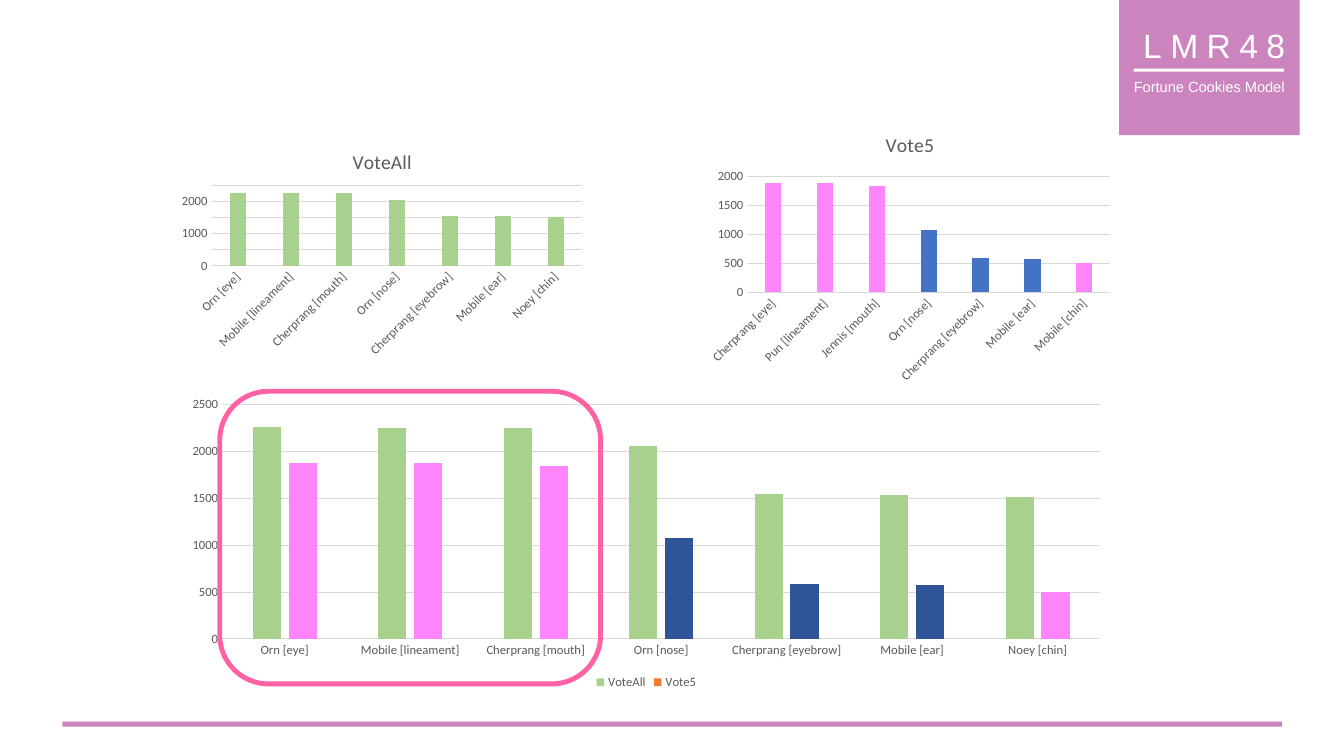
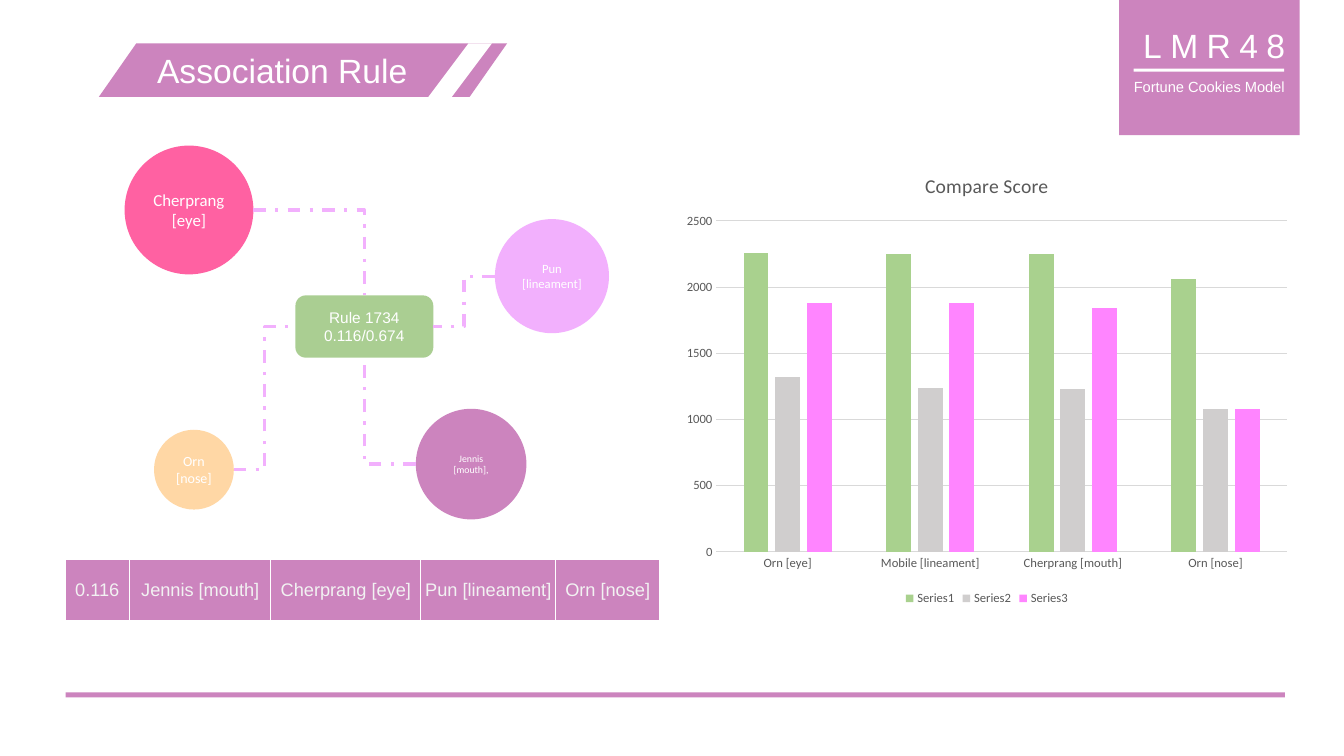
from dataclasses import dataclass
from typing import NamedTuple

from lxml.etree import SubElement
from pptx import Presentation
from pptx.chart.data import CategoryChartData
from pptx.dml.color import RGBColor
from pptx.enum.chart import XL_CHART_TYPE as ChartType, XL_LEGEND_POSITION as LegendPos, XL_TICK_MARK as TickMark
from pptx.enum.dml import MSO_LINE_DASH_STYLE as Dash
from pptx.enum.shapes import MSO_CONNECTOR as Connector, MSO_SHAPE as Shape
from pptx.enum.text import MSO_ANCHOR as Anchor, MSO_AUTO_SIZE as AutoSize, PP_ALIGN as Align
from pptx.oxml.ns import qn
from pptx.util import Pt


@dataclass(frozen=True)
class Theme:
    orchid: str = "CC84BE"
    white: str = "FFFFFF"
    cell_text: str = "F2F2F2"
    hot_pink: str = "FF61A2"
    lilac: str = "F2B0FD"
    apricot: str = "FFCD8C"
    leaf: str = "70AD47"
    green: str = "A9D18E"
    pink: str = "FF85FF"
    navy: str = "2F5597"
    blue: str = "4472C4"
    orange: str = "ED7D31"
    silver: str = "D0CECE"
    axis_text: str = "595959"
    grid: str = "D9D9D9"
    sans: str = "Arial"
    body: str = "Calibri"
    title_size: float = 24
    chart_title_size: float = 14
    table_size: float = 13
    rule_size: float = 11
    tagline_size: float = 10.5
    axis_size: float = 9


THEME = Theme()


class Box(NamedTuple):
    left: float
    top: float
    width: float
    height: float

    def inner(self, left, top, width, height):
        return Box(self.left + left, self.top + top, width, height)

    def lengths(self):
        return [Pt(value) for value in self]


class Series(NamedTuple):
    name: str
    values: tuple
    color: str
    point_colors: dict = {}


FEATURES = ("Orn [eye]", "Mobile [lineament]", "Cherprang [mouth]", "Orn [nose]",
            "Cherprang [eyebrow]", "Mobile [ear]", "Noey [chin]")
TOP_FIVE_FEATURES = ("Cherprang [eye]", "Pun [lineament]", "Jennis [mouth]", "Orn [nose]",
                     "Cherprang [eyebrow]", "Mobile [ear]", "Mobile [chin]")
ALL_VOTES = (2260, 2250, 2250, 2060, 1550, 1540, 1510)
TOP_FIVE_VOTES = (1880, 1880, 1840, 1080, 590, 580, 500)
MIDDLE_VOTES = (1320, 1240, 1230, 1080)


def rgb(color):
    return RGBColor.from_string(color)


def style_font(font, size, color, name):
    font.size = Pt(size)
    font.name = name
    font.bold = False
    font.color.rgb = rgb(color)


def write(frame, text, size, color=THEME.white, font=THEME.sans, spacing=0,
          anchor=Anchor.MIDDLE, wrap=True):
    frame.text = text
    frame.word_wrap = wrap
    frame.auto_size = AutoSize.NONE
    frame.vertical_anchor = anchor
    for paragraph in frame.paragraphs:
        paragraph.alignment = Align.CENTER
        for run in paragraph.runs:
            style_font(run.font, size, color, font)
            if spacing:
                run.font._element.set("spc", str(spacing * 100))


def add_block(slide, kind, box, color, opacity=100, adjustment=None):
    block = slide.shapes.add_shape(kind, *box.lengths())
    block.shadow.inherit = False
    block.line.fill.background()
    block.fill.solid()
    block.fill.fore_color.rgb = rgb(color)
    if opacity < 100:
        fill_color = block._element.spPr.find(qn("a:solidFill")).find(qn("a:srgbClr"))
        SubElement(fill_color, qn("a:alpha"), val=str(opacity * 1000))
    if adjustment is not None:
        block.adjustments[0] = adjustment
    return block


def add_label(slide, box, text, **text_format):
    label = slide.shapes.add_textbox(*box.lengths())
    write(label.text_frame, text, **text_format)


def add_badge(slide, box):
    add_block(slide, Shape.RECTANGLE, box, THEME.orchid)
    add_label(slide, box.inner(3, 14, 130, 36), "LMR48", size=THEME.title_size, spacing=6)
    add_block(slide, Shape.RECTANGLE, box.inner(10.5, 49, 107.5, 2.2), THEME.white)
    add_label(slide, box.inner(-31.5, 52, 192, 20), "Fortune Cookies Model", size=THEME.tagline_size)


def add_frame(slide, footer_left, footer_top):
    add_badge(slide, Box(799.3, 0, 129, 96.5))
    add_block(slide, Shape.RECTANGLE, Box(footer_left, footer_top, 871, 3.6), THEME.orchid)


def style_axes(chart, label_angle):
    for axis in (chart.category_axis, chart.value_axis):
        axis.major_tick_mark = axis.minor_tick_mark = TickMark.NONE
        style_font(axis.tick_labels.font, THEME.axis_size, THEME.axis_text, THEME.body)
    category_line = chart.category_axis.format.line
    category_line.color.rgb = rgb(THEME.grid)
    category_line.width = Pt(0.75)
    chart.category_axis._element.txPr.bodyPr.set("rot", str(label_angle * 60000))
    chart.value_axis.format.line.fill.background()
    grid_line = chart.value_axis.major_gridlines.format.line
    grid_line.color.rgb = rgb(THEME.grid)
    grid_line.width = Pt(0.75)


def add_columns(slide, box, categories, series_list, title=None, legend=False, label_angle=0):
    data = CategoryChartData()
    data.categories = categories
    for series in series_list:
        data.add_series(series.name, series.values)
    chart = slide.shapes.add_chart(ChartType.COLUMN_CLUSTERED, *box.lengths(), data).chart
    style_font(chart.font, THEME.axis_size, THEME.axis_text, THEME.body)
    chart.has_title = title is not None
    if title:
        write(chart.chart_title.text_frame, title, THEME.chart_title_size,
              color=THEME.axis_text, font=THEME.body)
        chart.chart_title.include_in_layout = False
    chart.has_legend = legend
    if legend:
        chart.legend.position = LegendPos.BOTTOM
        chart.legend.include_in_layout = False
        style_font(chart.legend.font, THEME.axis_size, THEME.axis_text, THEME.body)
    style_axes(chart, label_angle)
    plot = chart.plots[0]
    plot.gap_width = 219
    plot.overlap = -27
    plot.vary_by_categories = False
    for columns, series in zip(plot.series, series_list):
        columns.invert_if_negative = False
        columns.format.fill.solid()
        columns.format.fill.fore_color.rgb = rgb(series.color)
        for index, color in series.point_colors.items():
            fill = columns.points[index].format.fill
            fill.solid()
            fill.fore_color.rgb = rgb(color)


def add_banner(slide, box, text):
    add_block(slide, Shape.PARALLELOGRAM, box, THEME.orchid, adjustment=0.7)
    add_block(slide, Shape.PARALLELOGRAM, box.inner(235.4, 0, 45.4, box.height),
              THEME.white, adjustment=0.75)
    title = slide.shapes.title
    title.left, title.top, title.width, title.height = box.inner(21, 0.7, 220, 36).lengths()
    write(title.text_frame, text, THEME.title_size)
    slide.shapes._spTree.append(title._element)


def add_link(slide, start, end, single_bend=False):
    link = slide.shapes.add_connector(Connector.ELBOW, *start, *end)
    link.line.color.rgb = rgb(THEME.lilac)
    link.line.width = Pt(2.25)
    link.line.dash_style = Dash.DASH_DOT
    properties = link._element.spPr
    SubElement(properties, qn("a:effectLst"))
    if single_bend:
        properties.find(qn("a:prstGeom")).set("prst", "bentConnector2")


def edge(shape, across, down):
    return int(shape.left + shape.width * across), int(shape.top + shape.height * down)


def add_rule_network(slide, box):
    rule = add_block(slide, Shape.ROUNDED_RECTANGLE, box.inner(122, 107, 98.5, 44.5),
                     THEME.leaf, opacity=59)
    write(rule.text_frame, "Rule 1734\n0.116/0.674", THEME.rule_size)
    members = (
        ("Cherprang\n[eye]", 0, 0, 92, THEME.hot_pink, 100, 12, (1, 0.5), (0.5, 0)),
        ("Pun\n[lineament]", 264.5, 52.5, 81.5, THEME.lilac, 100, 9, (0, 0.5), (1, 0.5)),
        ("Jennis\n[mouth],", 208, 188, 79, THEME.orchid, 100, 7, (0, 0.5), (0.5, 1)),
        ("Orn\n[nose]", 21, 203, 57, THEME.apricot, 78, 10, (1, 0.5), (0, 0.5)),
    )
    for text, left, top, diameter, color, opacity, size, member_side, rule_side in members:
        member = add_block(slide, Shape.OVAL, box.inner(left, top, diameter, diameter), color, opacity)
        write(member.text_frame, text, size, font=THEME.body, wrap=False)
        add_link(slide, edge(member, *member_side), edge(rule, *rule_side),
                 single_bend=rule_side[0] == 0.5)


def add_border(cell):
    properties = cell._tc.get_or_add_tcPr()
    for index, side in enumerate(("lnL", "lnR", "lnT", "lnB")):
        line = SubElement(properties, qn(f"a:{side}"), w=str(Pt(1)))
        fill = SubElement(line, qn("a:solidFill"))
        SubElement(fill, qn("a:srgbClr"), val=THEME.white)
        properties.insert(index, line)


def add_support_table(slide, box):
    entries = (("0.116", 46.1), ("Jennis [mouth]", 101), ("Cherprang [eye]", 107),
               ("Pun [lineament]", 96.5), ("Orn [nose]", 74.2))
    table = slide.shapes.add_table(1, len(entries), *box.lengths()).table
    table.first_row = table.horz_banding = False
    table.rows[0].height = Pt(box.height)
    for index, (text, width) in enumerate(entries):
        table.columns[index].width = Pt(width)
        cell = table.cell(0, index)
        cell.fill.solid()
        cell.fill.fore_color.rgb = rgb(THEME.orchid)
        add_border(cell)
        cell.margin_left = cell.margin_right = cell.margin_top = Pt(0.7)
        cell.margin_bottom = 0
        cell.vertical_anchor = Anchor.MIDDLE
        paragraph = cell.text_frame.paragraphs[0]
        paragraph.text = text
        paragraph.alignment = Align.CENTER
        style_font(paragraph.runs[0].font, THEME.table_size, THEME.cell_text, THEME.sans)


def build_votes_slide(deck):
    slide = deck.slides.add_slide(deck.slide_layouts[6])
    add_frame(slide, 44.6, 515.5)
    pink_points = {index: THEME.pink for index in (0, 1, 2, 6)}
    navy_points = {index: THEME.navy for index in (3, 4, 5)}
    all_votes = Series("VoteAll", ALL_VOTES, THEME.green)
    top_five = Series("Vote5", TOP_FIVE_VOTES, THEME.blue, pink_points)
    compared = top_five._replace(color=THEME.orange, point_colors=pink_points | navy_points)
    add_columns(slide, Box(124, 96.5, 298, 162), FEATURES, [all_votes],
                title="VoteAll", label_angle=-45)
    add_columns(slide, Box(124, 279.5, 675.5, 216), FEATURES, [all_votes, compared], legend=True)
    add_columns(slide, Box(501, 83.5, 298, 194.5), TOP_FIVE_FEATURES, [top_five],
                title="Vote5", label_angle=-45)
    highlight = add_block(slide, Shape.ROUNDED_RECTANGLE, Box(157, 279.5, 272, 209), THEME.white)
    highlight.fill.background()
    highlight.line.color.rgb = rgb(THEME.hot_pink)
    highlight.line.width = Pt(3.5)


def build_rule_slide(deck):
    slide = deck.slides.add_slide(deck.slide_layouts[5])
    add_banner(slide, Box(70.6, 31, 291.6, 38.2), "Association Rule")
    add_frame(slide, 46.8, 494.6)
    add_support_table(slide, Box(46.4, 399.6, 424.8, 43.9))
    add_rule_network(slide, Box(89, 104, 346, 270))
    scores = [Series("Series1", ALL_VOTES[:4], THEME.green),
              Series("Series2", MIDDLE_VOTES, THEME.silver),
              Series("Series3", TOP_FIVE_VOTES[:4], THEME.pink)]
    add_columns(slide, Box(481.7, 110, 446.4, 325.5), FEATURES[:4], scores,
                title="Compare Score", legend=True)


def main():
    deck = Presentation()
    deck.slide_width, deck.slide_height = Pt(960), Pt(540)
    build_votes_slide(deck)
    build_rule_slide(deck)
    deck.save("out.pptx")


if __name__ == "__main__":
    main()
